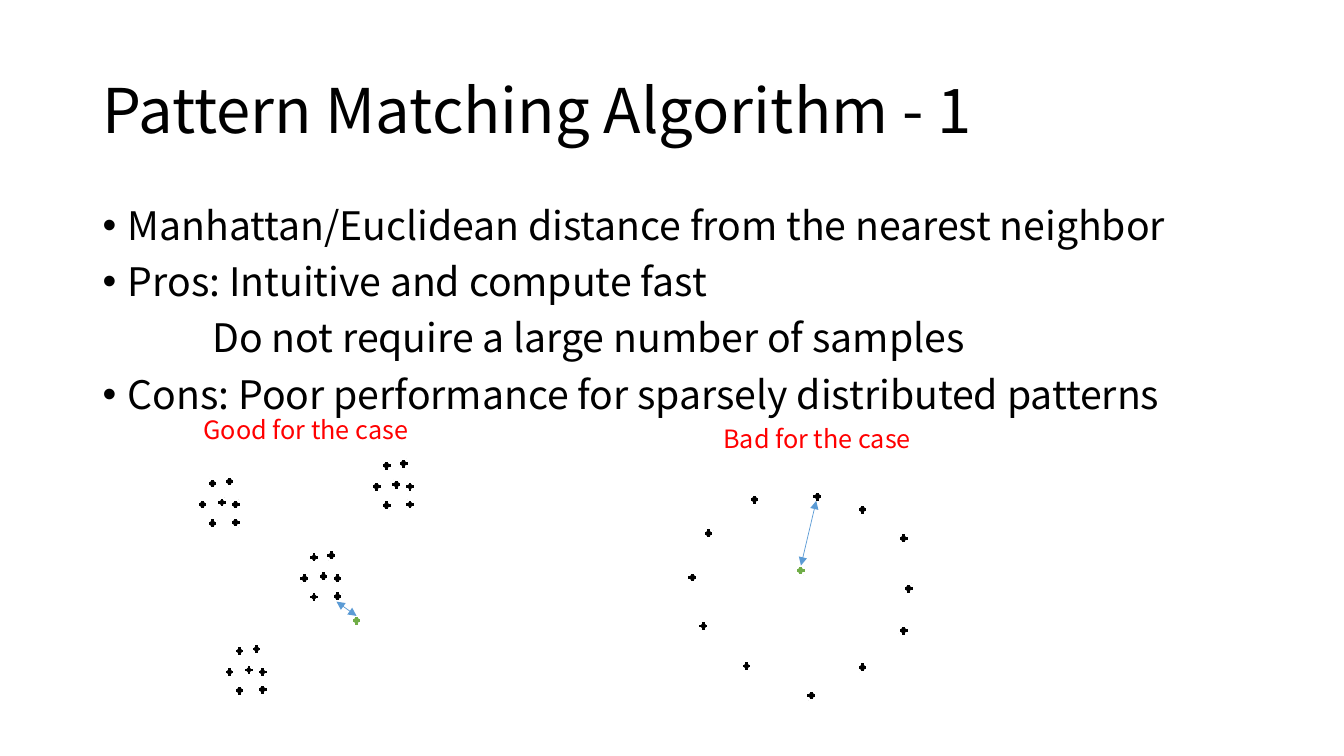
"""Build a slide on nearest-neighbor pattern matching."""
import pptx
import pptx.dml.color
import pptx.enum.shapes
import pptx.enum.text
import pptx.oxml.ns
import pptx.util
from lxml import etree

Cm, Pt = pptx.util.Cm, pptx.util.Pt
RGBColor = pptx.dml.color.RGBColor
MSO_ANCHOR, MSO_AUTO_SIZE = pptx.enum.text.MSO_ANCHOR, pptx.enum.text.MSO_AUTO_SIZE
LEFT = pptx.enum.text.PP_ALIGN.LEFT
qn = pptx.oxml.ns.qn

BLACK = RGBColor(0x00, 0x00, 0x00)
WHITE = RGBColor(0xFF, 0xFF, 0xFF)
RED = RGBColor(0xFF, 0x00, 0x00)
GREEN = RGBColor(0x70, 0xAD, 0x47)
BLUE = RGBColor(0x5B, 0x9B, 0xD5)

FONT = "Noto Sans CJK KR"
TITLE_FONT = {"name": FONT, "size": Pt(44)}
BODY_FONT = {"name": FONT, "size": Pt(28)}
CAPTION_FONT = {"name": FONT, "size": Pt(18)}
BODY_SPACING = {"alignment": LEFT, "line_spacing": 0.9,
                "space_before": Pt(10), "space_after": Pt(0)}

MARK_SIZE = 0.25
CLUSTER = [(0.25, 1.05), (0.25, 0.05), (0.84, 1.03), (0.49, 0.53),
           (0.68, 0), (0.84, 0.58), (0, 0.58)]
CLUSTER_ORIGINS = [(2.66, 3.56), (0.1, 1.7), (4.49, 1.25), (0.78, 5.92)]
RING = [(3.15, 1.85), (0.41, 2.77), (0.28, 5.11), (5.33, 2.9),
        (5.33, 5.23), (3, 6.86), (5.46, 4.17), (4.29, 2.18),
        (1.57, 1.93), (0, 3.89), (4.29, 6.15), (1.37, 6.12)]
BULLETS = [
    ("Manhattan/Euclidean distance from the nearest neighbor", True),
    ("Pros: Intuitive and compute fast", True),
    ("Do not require a large number of samples", False),
    ("Cons: Poor performance for sparsely distributed patterns", True),
]


def apply_format(target, values):
    """Set every attribute in the dict on the target."""
    for name, value in values.items():
        setattr(target, name, value)


def place(shape, box):
    """Move a shape to a box of left, top, width and height in centimetres."""
    names = ("left", "top", "width", "height")
    apply_format(shape, dict(zip(names, map(Cm, box))))


def write(paragraph, text, font_values, color):
    """Write one formatted run in a paragraph."""
    run = paragraph.add_run()
    run.text = text
    apply_format(run.font, font_values)
    run.font.color.rgb = color


def set_bullet(paragraph, has_bullet):
    """Give a paragraph a hanging bullet or a plain deep indent."""
    properties = paragraph._p.get_or_add_pPr()
    margin, indent = (Cm(0.64), Cm(-0.64)) if has_bullet else (Cm(2.77), 0)
    properties.set("marL", str(margin))
    properties.set("indent", str(indent))
    if has_bullet:
        etree.SubElement(properties, qn("a:buFont")).set("typeface", "Arial")
        etree.SubElement(properties, qn("a:buChar")).set("char", "\u2022")
    else:
        etree.SubElement(properties, qn("a:buNone"))


def fill_title(shape, box):
    """Place and write the slide title."""
    place(shape, box)
    apply_format(shape.text_frame, {"vertical_anchor": MSO_ANCHOR.MIDDLE,
                                    "auto_size": MSO_AUTO_SIZE.NONE})
    paragraph = shape.text_frame.paragraphs[0]
    apply_format(paragraph, {"alignment": LEFT, "line_spacing": 0.9})
    write(paragraph, "Pattern Matching Algorithm - 1", TITLE_FONT, BLACK)


def fill_body(shape, box):
    """Place and write the list of pros and cons."""
    place(shape, box)
    frame = shape.text_frame
    frame.auto_size = MSO_AUTO_SIZE.NONE
    for index, (text, has_bullet) in enumerate(BULLETS):
        paragraph = frame.add_paragraph() if index else frame.paragraphs[0]
        apply_format(paragraph, BODY_SPACING)
        set_bullet(paragraph, has_bullet)
        write(paragraph, text, BODY_FONT, BLACK)


def add_mark(slide, left, top, color):
    """Add one plus-shaped sample mark."""
    kind = pptx.enum.shapes.MSO_SHAPE.CROSS
    mark = slide.shapes.add_shape(kind, *map(Cm, (left, top, MARK_SIZE, MARK_SIZE)))
    mark.shadow.inherit = False
    mark.fill.solid()
    mark.fill.fore_color.rgb = color
    mark.line.color.rgb = WHITE
    mark.line.width = Pt(1.5)


def add_distance_arrow(slide, *ends):
    """Add a double-headed arrow between two points."""
    kind = pptx.enum.shapes.MSO_CONNECTOR.STRAIGHT
    arrow = slide.shapes.add_connector(kind, *map(Cm, ends))
    arrow.line.color.rgb = BLUE
    arrow.line.width = Pt(0.5)
    for end in ("a:headEnd", "a:tailEnd"):
        etree.SubElement(arrow.line._get_or_add_ln(), qn(end)).set("type", "triangle")
    etree.SubElement(arrow._element.spPr, qn("a:effectLst"))


def add_case(slide, box, caption, caption_box, samples, query, neighbor):
    """Draw one captioned scatter of samples with its query and distance."""
    left, top = box
    x, y, width, height = caption_box
    text_box = slide.shapes.add_textbox(*map(Cm, (left + x, top + y, width, height)))
    text_box.text_frame.word_wrap = False
    write(text_box.text_frame.paragraphs[0], caption, CAPTION_FONT, RED)
    for x, y in samples:
        add_mark(slide, left + x, top + y, BLACK)
    query_left, query_top = left + query[0], top + query[1]
    add_mark(slide, query_left, query_top, GREEN)
    add_distance_arrow(slide, query_left + MARK_SIZE / 2, query_top,
                       left + neighbor[0], top + neighbor[1])


def main():
    """Build and save the presentation."""
    presentation = pptx.Presentation()
    presentation.slide_width, presentation.slide_height = Cm(33.87), Cm(19.05)
    slide = presentation.slides.add_slide(presentation.slide_layouts[1])
    fill_title(slide.shapes.title, (2.33, 1.01, 29.21, 3.68))
    fill_body(slide.placeholders[1], (2.33, 5.07, 29.21, 12.09))
    clusters = [(left + x, top + y)
                for left, top in CLUSTER_ORIGINS for x, y in CLUSTER]
    add_case(slide, (4.88, 10.31), "Good for the case", (0, 0, 5.79, 1.02),
             clusters, (3.98, 5.21), (3.6, 4.85))
    add_case(slide, (17.32, 10.54), "Bad for the case", (0.66, 0, 5.28, 1.02),
             RING, (2.74, 3.71), (3.25, 2.08))
    presentation.save("out.pptx")


main()
